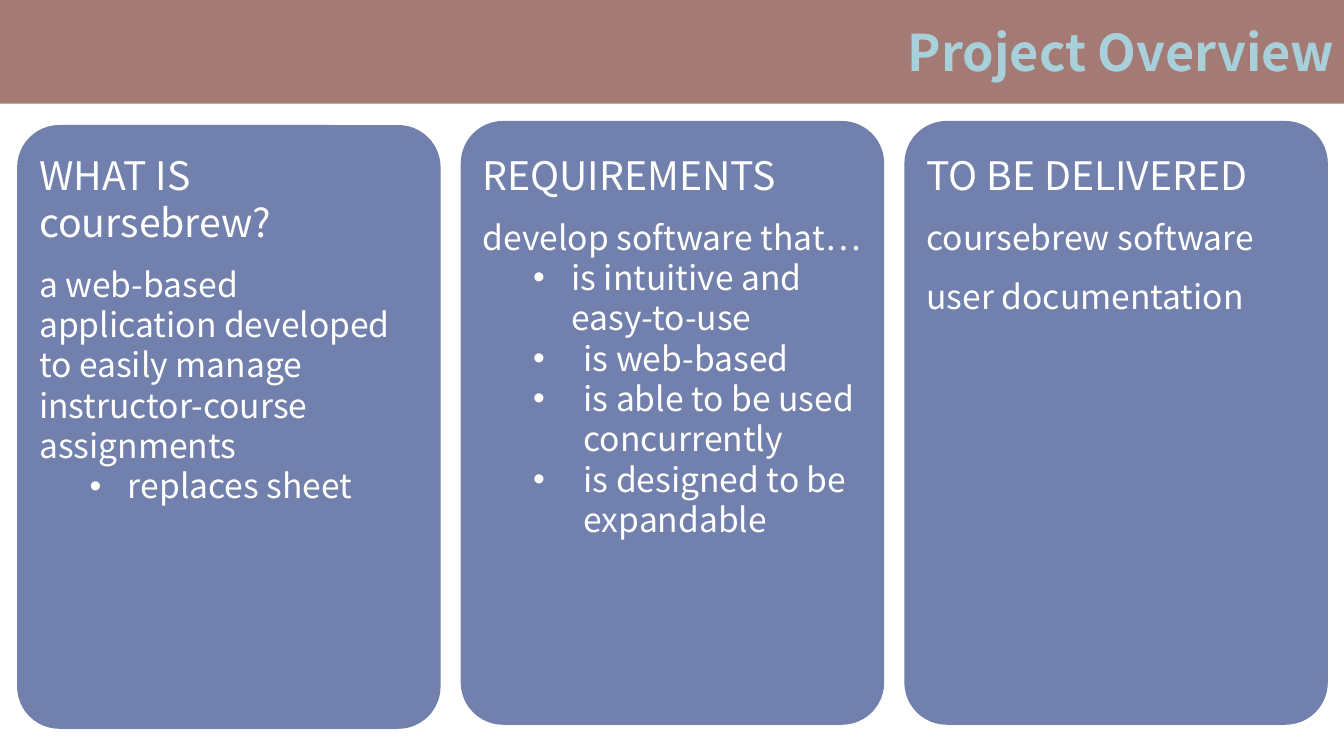
from lxml import etree
from pptx import Presentation
from pptx.dml.color import RGBColor
from pptx.enum.shapes import MSO_SHAPE
from pptx.enum.text import PP_ALIGN
from pptx.oxml.ns import qn
from pptx.util import Inches, Pt

RECT, ROUND = MSO_SHAPE.RECTANGLE, MSO_SHAPE.ROUNDED_RECTANGLE
RIGHT = PP_ALIGN.RIGHT
FONT = "Noto Sans CJK JP"
WIDE, HIGH = 13.33, 7.5
BROWN, BLUE, AQUA, WHITE = "A37A74", "7180AC", "A8D0DB", "FFFFFF"
STEP = 4.4  # distance from one column to the next
CARD_W, CARD_H = 4.2, 5.99
GAP = 13.2  # points between blocks of text

# Each column: card top, text height, heading, then (text, indent, hang, gap).
# A zero indent marks plain text; any other indent takes a bullet.
COLUMNS = [
    (1.24, 4.73, "WHAT IS coursebrew?", [
        ("a web-based application developed to easily manage "
         "instructor-course assignments", 0, 0, GAP),
        ("replaces sheet", 0.88, 0.38, 0),
    ]),
    (1.2, 3.99, "REQUIREMENTS", [
        ("develop software that…", 0, 0, GAP),
        ("is intuitive and easy-to-use", 0.88, 0.38, 0),
        ("is web-based", 1, 0.5, 0),
        ("is able to be used concurrently", 1, 0.5, 0),
        ("is designed to be expandable", 1, 0.5, 0),
    ]),
    (1.2, 1.75, "TO BE DELIVERED", [
        ("coursebrew software", 0, 0, GAP),
        ("user documentation", 0, 0, GAP),
    ]),
]


def paint(color, hue):
    color.rgb = RGBColor.from_string(hue)


def add_block(slide, kind, left, top, width, height, hue):
    block = slide.shapes.add_shape(
        kind, Inches(left), Inches(top), Inches(width), Inches(height))
    block.shadow.inherit = False
    block.fill.solid()
    paint(block.fill.fore_color, hue)
    block.line.fill.background()
    return block


def add_frame(slide, left, top, width, height):
    box = slide.shapes.add_textbox(
        Inches(left), Inches(top), Inches(width), Inches(height))
    box.text_frame.word_wrap = True
    return box.text_frame


def write(para, text, size, hue):
    para.text = text
    para.font.name = FONT
    para.font.size = Pt(size)
    paint(para.font.color, hue)


def add_bullet(para, indent, hang):
    para.level = 1
    props = para._p.get_or_add_pPr()
    props.set("marL", str(Inches(indent)))
    props.set("indent", str(-Inches(hang)))
    etree.SubElement(props, qn("a:buFont")).set("typeface", "Arial")
    etree.SubElement(props, qn("a:buChar")).set("char", "•")


def add_column(slide, index, top, height, head, items):
    left = index * STEP
    card = add_block(slide, ROUND, left + 0.17, top, CARD_W, CARD_H, BLUE)
    card.adjustments[0] = 0.1
    frame = add_frame(slide, left + 0.29, 1.45, 3.96, height)
    write(frame.paragraphs[0], head, 28, WHITE)
    for text, indent, hang, gap in items:
        para = frame.add_paragraph()
        write(para, text, 24, WHITE)
        para.space_before = Pt(gap)
        if indent:
            add_bullet(para, indent, hang)


def add_title(slide, text):
    add_block(slide, RECT, 0, 0, WIDE, 1.03, BROWN)
    para = add_frame(slide, 2.75, 0.16, 10.58, 0.71).paragraphs[0]
    write(para, text, 36, AQUA)
    para.font.bold = True
    para.alignment = RIGHT


def main():
    deck = Presentation()
    deck.slide_width, deck.slide_height = Inches(WIDE), Inches(HIGH)
    slide = deck.slides.add_slide(deck.slide_layouts[6])
    add_title(slide, "Project Overview")
    for index, column in enumerate(COLUMNS):
        add_column(slide, index, *column)
    deck.save("out.pptx")


if __name__ == "__main__":
    main()
